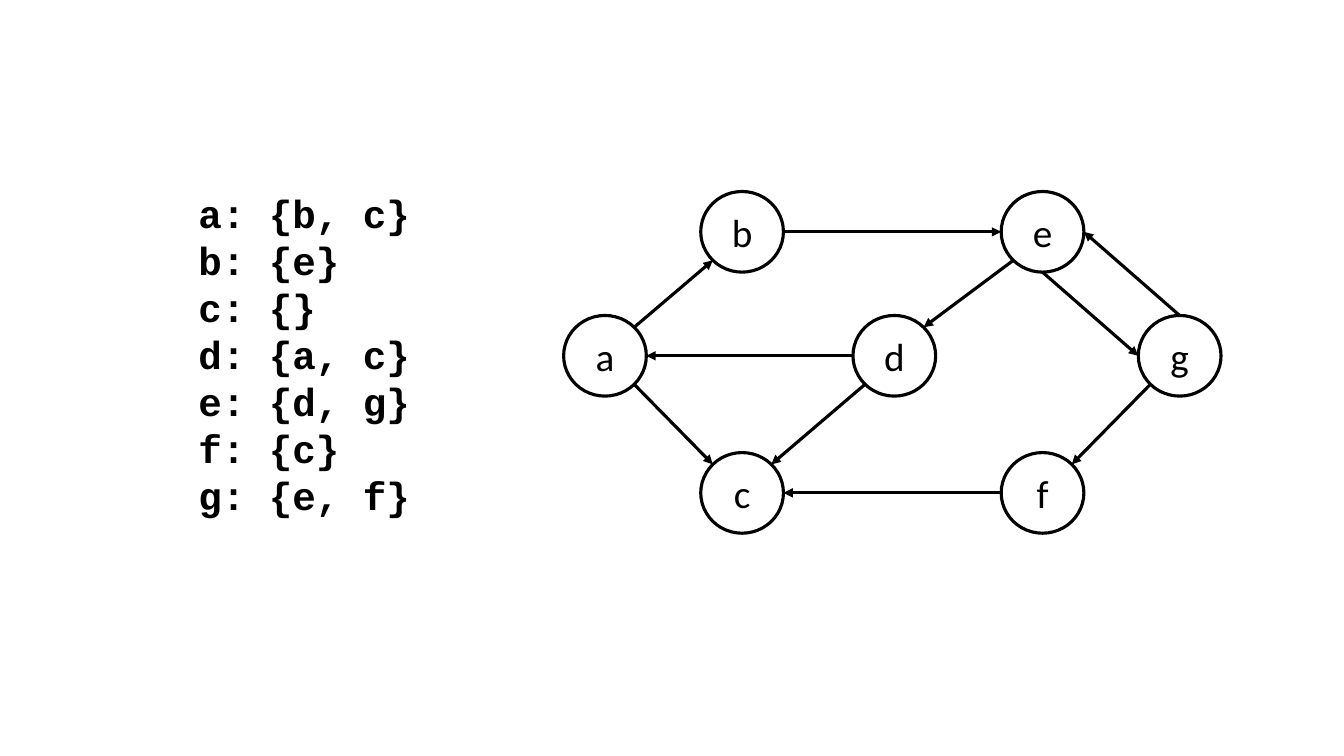
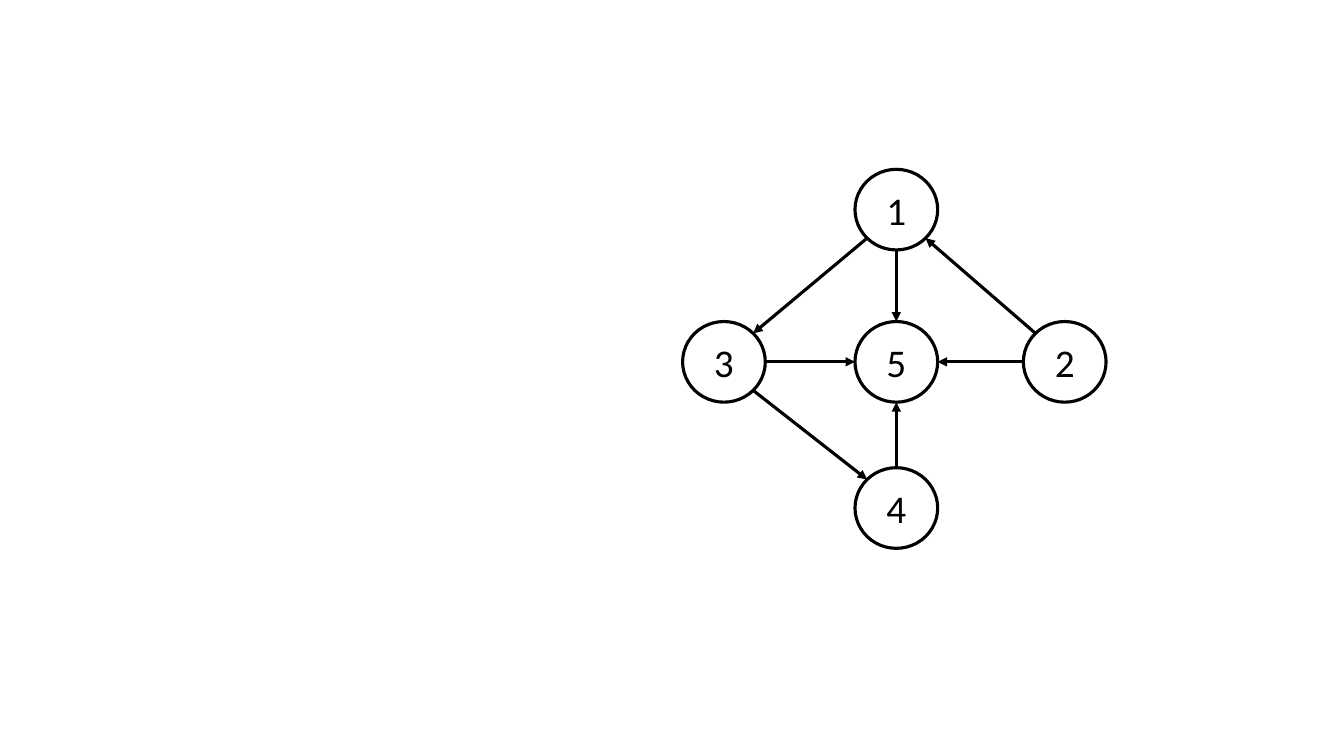
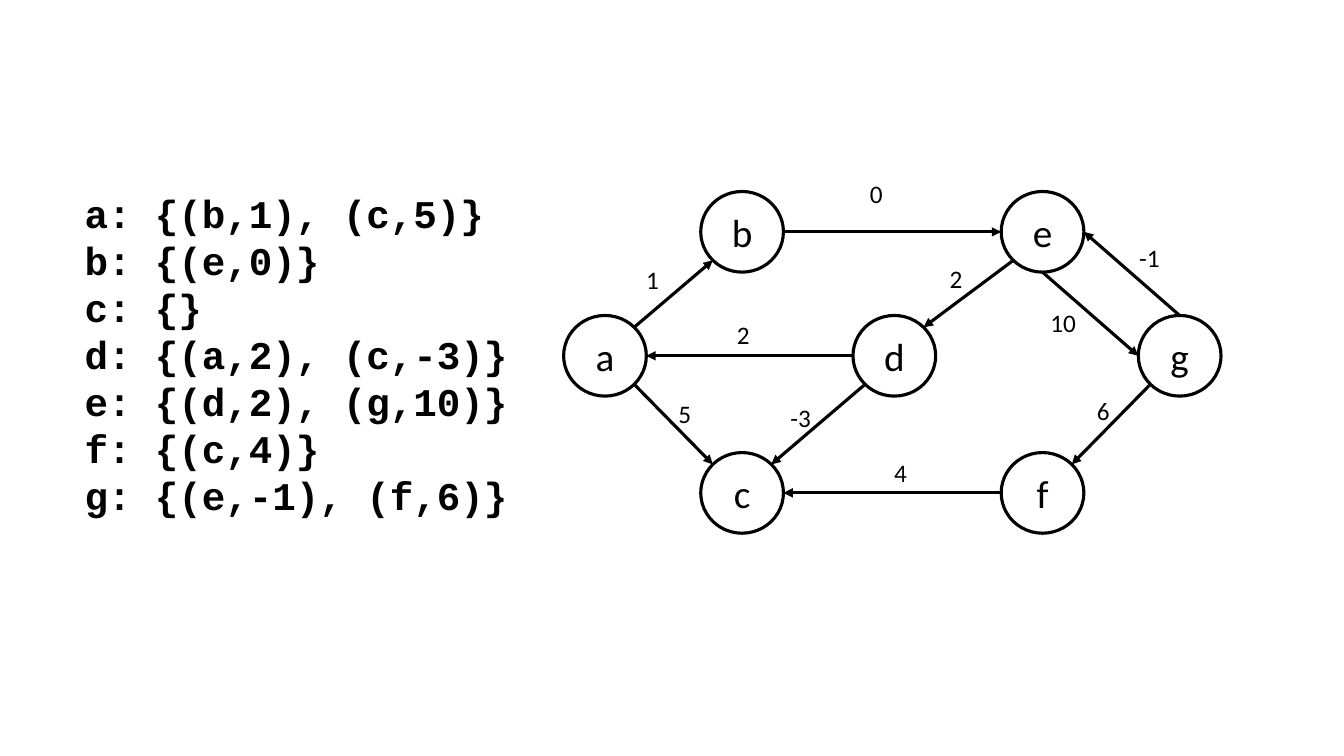
import math

import pptx
import pptx.dml.color
import pptx.enum.shapes
import pptx.enum.text
import pptx.util
from lxml import etree
from pptx.oxml.ns import qn

PX = 9144
COLORS = {"background": "FFFFFF", "ink": "000000"}
NODE_FONT = "Calibri"
LIST_FONT = "Courier New"
LINE_WIDTH = 2.25
NODE_WIDTH, NODE_HEIGHT = 82, 80
LABEL_WIDTH, LABEL_HEIGHT = 47, 40
LIST_TOP, LIST_HEIGHT = 183, 340

LETTER_NODES = {
    "a": (559, 313),
    "b": (695, 190),
    "c": (695, 449),
    "d": (846, 313),
    "e": (993, 190),
    "f": (993, 449),
    "g": (1129, 313),
}
LETTER_WEIGHTS = {
    ("a", "b"): 1,
    ("a", "c"): 5,
    ("b", "e"): 0,
    ("d", "a"): 2,
    ("d", "c"): -3,
    ("e", "d"): 2,
    ("e", "g"): 10,
    ("f", "c"): 4,
    ("g", "e"): -1,
    ("g", "f"): 6,
}
LABEL_PLACES = {
    ("a", "b"): (631, 257),
    ("a", "c"): (663, 390),
    ("b", "e"): (853, 172),
    ("d", "a"): (721, 312),
    ("d", "c"): (774, 394),
    ("e", "d"): (932, 256),
    ("e", "g"): (1032, 300),
    ("f", "c"): (877, 449),
    ("g", "e"): (1120, 235),
    ("g", "f"): (1078, 387),
}
EAST, SOUTH, WEST, NORTH = 0, 90, 180, 270
LETTER_SIDES = {("e", "g"): (SOUTH, WEST), ("g", "e"): (NORTH, EAST)}

NUMBER_NODES = {
    "1": (848, 168),
    "2": (1015, 319),
    "3": (677, 319),
    "4": (848, 464),
    "5": (848, 319),
}
NUMBER_EDGES = [("1", "3"), ("1", "5"), ("2", "1"), ("2", "5"),
                ("3", "4"), ("3", "5"), ("4", "5")]


def color(name):
    return pptx.dml.color.RGBColor.from_string(COLORS[name])


def write_text(shape, text, size=28, font=NODE_FONT, bold=False,
               align=pptx.enum.text.PP_ALIGN.LEFT):
    shape.text_frame.text = text
    for paragraph in shape.text_frame.paragraphs:
        paragraph.alignment = align
        paragraph.font.size = pptx.util.Pt(size)
        paragraph.font.name = font
        paragraph.font.bold = bold
        paragraph.font.color.rgb = color("ink")


def add_text(slide, left, top, width, height, text, **text_format):
    box = slide.shapes.add_textbox(left * PX, top * PX, width * PX, height * PX)
    box.text_frame.word_wrap = True
    box.text_frame.auto_size = pptx.enum.text.MSO_AUTO_SIZE.SHAPE_TO_FIT_TEXT
    write_text(box, text, **text_format)


def add_node(slide, name, left, top):
    node = slide.shapes.add_shape(
        pptx.enum.shapes.MSO_SHAPE.OVAL,
        left * PX, top * PX, NODE_WIDTH * PX, NODE_HEIGHT * PX)
    node.shadow.inherit = False
    node.fill.background()
    node.line.color.rgb = color("ink")
    node.line.width = pptx.util.Pt(LINE_WIDTH)
    node.text_frame.vertical_anchor = pptx.enum.text.MSO_ANCHOR.MIDDLE
    write_text(node, name, align=pptx.enum.text.PP_ALIGN.CENTER)


def facing_sides(start, end):
    angle = math.degrees(math.atan2(end[1] - start[1], end[0] - start[0]))
    side = round(angle / 45) * 45
    return side, side + 180


def rim_point(corner, side):
    angle = math.radians(side)
    return (round((corner[0] + NODE_WIDTH / 2 * (1 + math.cos(angle))) * PX),
            round((corner[1] + NODE_HEIGHT / 2 * (1 + math.sin(angle))) * PX))


def add_arrow(slide, start, end, sides):
    arrow = slide.shapes.add_connector(
        pptx.enum.shapes.MSO_CONNECTOR.STRAIGHT,
        *rim_point(start, sides[0]), *rim_point(end, sides[1]))
    arrow.line.color.rgb = color("ink")
    arrow.line.width = pptx.util.Pt(LINE_WIDTH)
    properties = arrow.line._get_or_add_ln()
    etree.SubElement(properties, qn("a:tailEnd"), type="triangle")
    etree.SubElement(properties.getparent(), qn("a:effectLst"))


def add_graph(slide, nodes, edges, special_sides):
    for name, corner in nodes.items():
        add_node(slide, name, *corner)
    for edge in edges:
        start, end = (nodes[name] for name in edge)
        sides = special_sides.get(edge) or facing_sides(start, end)
        add_arrow(slide, start, end, sides)


def adjacency_text(weighted):
    lines = []
    for node in LETTER_NODES:
        targets = [f"({end},{weight})" if weighted else end
                   for (start, end), weight in LETTER_WEIGHTS.items()
                   if start == node]
        lines.append(f"{node}: {{{', '.join(targets)}}}")
    return "\n".join(lines)


def add_letter_graph(slide, list_left, list_width, weighted):
    add_graph(slide, LETTER_NODES, LETTER_WEIGHTS, LETTER_SIDES)
    add_text(slide, list_left, LIST_TOP, list_width, LIST_HEIGHT,
             adjacency_text(weighted), font=LIST_FONT, bold=True)


def add_weight_labels(slide):
    for edge, (left, top) in LABEL_PLACES.items():
        add_text(slide, left, top, LABEL_WIDTH, LABEL_HEIGHT,
                 str(LETTER_WEIGHTS[edge]), size=18)


def add_slide(presentation):
    slide = presentation.slides.add_slide(presentation.slide_layouts[6])
    slide.background.fill.solid()
    slide.background.fill.fore_color.rgb = color("background")
    return slide


def main():
    presentation = pptx.Presentation()
    presentation.slide_width = 1333 * PX
    presentation.slide_height = 750 * PX

    add_letter_graph(add_slide(presentation), 187, 373, weighted=False)

    add_graph(add_slide(presentation), NUMBER_NODES, NUMBER_EDGES, {})

    weighted_slide = add_slide(presentation)
    add_letter_graph(weighted_slide, 74, 483, weighted=True)
    add_weight_labels(weighted_slide)

    presentation.save("out.pptx")


if __name__ == "__main__":
    main()
